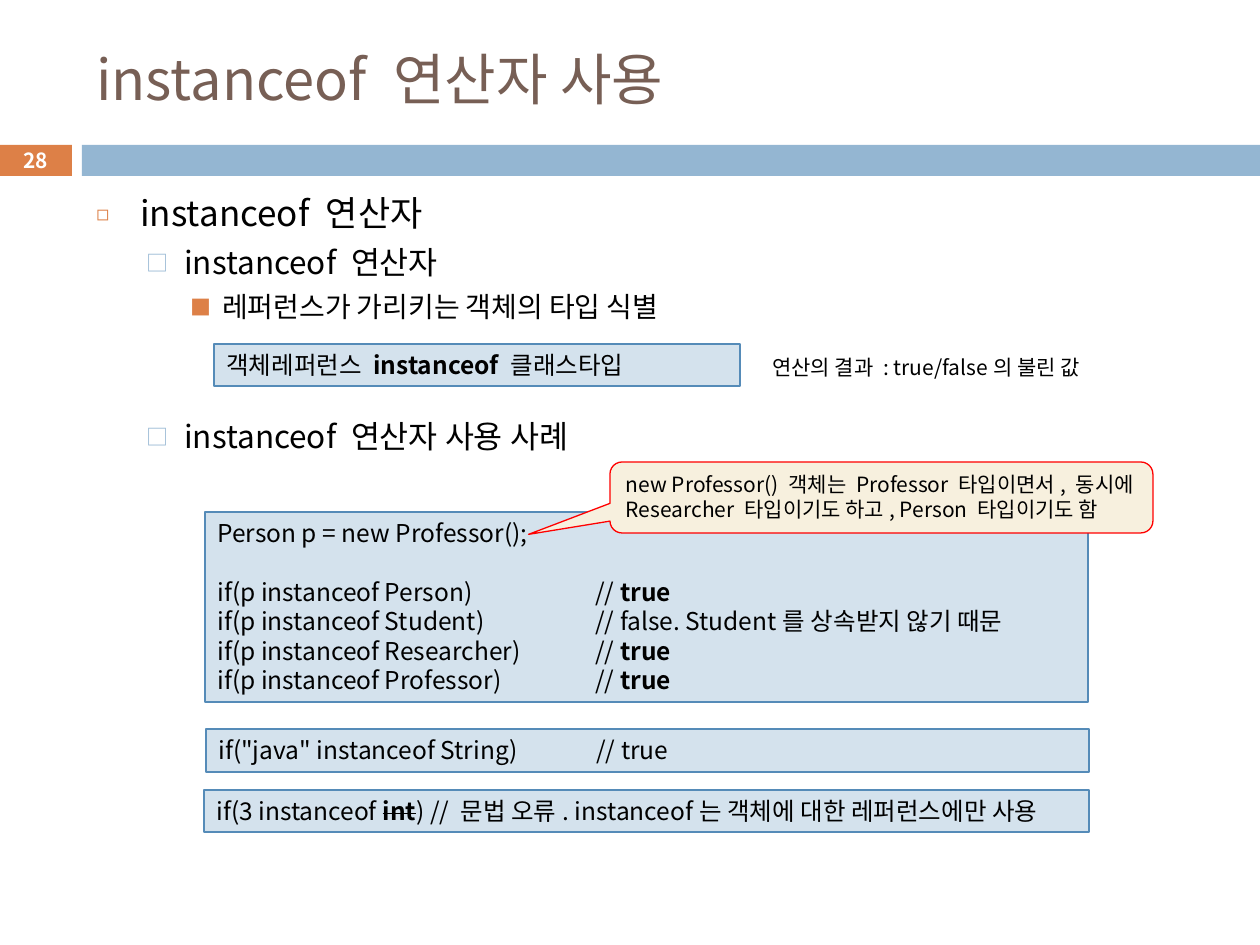
from lxml.etree import SubElement
from pptx import Presentation
from pptx.dml.color import RGBColor
from pptx.enum.shapes import MSO_SHAPE as Shape
from pptx.enum.text import MSO_ANCHOR as Anchor, PP_ALIGN as Align
from pptx.oxml.ns import qn
from pptx.util import Emu, Pt

PX = 914400 // 126
FONT = "Noto Sans CJK KR"
BLACK, WHITE, BROWN = "000000", "FFFFFF", "775F55"
ORANGE, BLUE = "DD8047", "94B6D2"
CODE_FILL, CODE_LINE = "D4E2ED", "558BB8"
NOTE_FILL, NOTE_LINE = "F7F0DE", "FF0000"


def px(n):
    return Emu(n * PX)


def color(value):
    return RGBColor.from_string(value)


class Deck:
    LEADING = 1.2

    def __init__(self):
        self.prs = Presentation()
        self.prs.slide_width, self.prs.slide_height = px(1260), px(945)
        self.slide = self.prs.slides.add_slide(self.prs.slide_layouts[6])

    def paragraph(self, frame, parts, size, ink=BLACK, before=0, leading=True):
        """Parts are plain strings or (string, font attribute) pairs."""
        first = frame.paragraphs[0]
        para = frame.add_paragraph() if first.runs else first
        para.alignment = Align.LEFT
        para.space_before = Pt(before)
        if leading:
            para.line_spacing = Pt(round(size * self.LEADING, 1))
        for part in [parts] if isinstance(parts, str) else parts:
            words, mark = part if isinstance(part, tuple) else (part, "")
            run = para.add_run()
            run.text = words
            run.font.size, run.font.name = Pt(size), FONT
            run.font.color.rgb = color(ink)
            run.font.bold = bool(mark)
            props = run.font._element
            SubElement(props, qn("a:ea")).set("typeface", FONT)
            if mark == "strike":
                props.set("strike", "sngStrike")
        return para

    def text(self, box, wrap=True, anchor=Anchor.TOP):
        frame = self.slide.shapes.add_textbox(*map(px, box)).text_frame
        frame.word_wrap, frame.vertical_anchor = wrap, anchor
        return frame

    def shape(self, box, fill, line=None, kind=Shape.RECTANGLE):
        shape = self.slide.shapes.add_shape(kind, *map(px, box))
        shape.shadow.inherit = False
        shape.fill.solid()
        shape.fill.fore_color.rgb = color(fill)
        if line:
            shape.line.color.rgb = color(line)
            shape.line.width = Pt(0.75)
        else:
            shape.line.fill.background()
        shape.text_frame.vertical_anchor = Anchor.TOP
        return shape

    def code(self, box, lines):
        """Each line is (parts, space before)."""
        frame = self.shape(box, CODE_FILL, CODE_LINE).text_frame
        for parts, before in lines:
            para = self.paragraph(frame, parts, 14, before=before)
            tabs = SubElement(para._p.get_or_add_pPr(), qn("a:tabLst"))
            SubElement(tabs, qn("a:tab"), pos=str(px(378)), algn="l")

    def bullet(self, frame, words, level, before):
        size, left, hang, sign, ink, percent = OUTLINE_LEVELS[level]
        para = self.paragraph(frame, words, size, before=before)
        para.level = level
        props = para._p.get_or_add_pPr()
        props.set("marL", str(px(left)))
        props.set("indent", str(-px(hang)))
        tint = SubElement(props, qn("a:buClr"))
        SubElement(tint, qn("a:srgbClr"), val=ink)
        SubElement(props, qn("a:buSzPct"), val=str(percent * 1000))
        SubElement(props, qn("a:buFont"), typeface=FONT)
        SubElement(props, qn("a:buChar"), char=sign)


# size, left margin, hanging indent, sign, sign colour, sign percent
OUTLINE_LEVELS = [
    (20, 44, 44, "◻", ORANGE, 60),
    (18, 88, 38, "□", BLUE, 70),
    (16, 126, 32, "■", ORANGE, 75),
]

deck = Deck()

# Header: bars, title and page number
deck.shape((-1, 145, 73, 31), ORANGE)
deck.shape((82, 145, 1178, 31), BLUE)
title = deck.text((84, 32, 1124, 93), anchor=Anchor.MIDDLE)
deck.paragraph(title, "instanceof 연산자 사용", 32, BROWN, leading=False)
page = deck.text((-1, 143, 73, 34), anchor=Anchor.MIDDLE)
number = deck.paragraph(page, [("28", "bold")], 11.9, WHITE)
number.alignment = Align.CENTER

# Outline; the last point leaves room for the syntax box
outline = deck.text((84, 185, 1124, 694))
for words, level, before in [
    ("instanceof 연산자", 0, 0),
    ("instanceof 연산자", 1, 5.5),
    ("레퍼런스가 가리키는 객체의 타입 식별", 2, 5),
    ("instanceof 연산자 사용 사례", 1, 54),
]:
    deck.bullet(outline, words, level, before)

# Syntax and its result
deck.code((214, 344, 526, 42),
          [(["객체레퍼런스 ", ("instanceof ", "bold"), "클래스타입"], 0)])
result = deck.text((760, 348, 349, 38), wrap=False)
deck.paragraph(result, "연산의 결과 : true/false의 불린 값", 12)

# Code examples
true = ("true", "bold")
deck.code((205, 512, 883, 190), [
    ("Person p = new Professor();", 0),
    (["if(p instanceof Person) \t// ", true], 16.8),
    ("if(p instanceof Student) \t// false. Student를 상속받지 않기 때문", 0),
    (["if(p instanceof Researcher) \t// ", true], 0),
    (["if(p instanceof Professor) \t// ", true], 0),
])
deck.code((206, 729, 883, 43), [('if("java" instanceof String) \t// true', 0)])
deck.code((204, 790, 885, 42), [
    (["if(3 instanceof ", ("int", "strike"),
      ") // 문법 오류. instanceof는 객체에 대한 레퍼런스에만 사용"], 0)])

# Callout on the first line of code
callout = deck.shape((610, 462, 543, 71), NOTE_FILL, NOTE_LINE,
                     Shape.ROUNDED_RECTANGULAR_CALLOUT)
for i, value in enumerate((-0.65, 0.52, 0.17)):
    callout.adjustments[i] = value
callout.text_frame.word_wrap = False
for words in ("new Professor() 객체는 Professor 타입이면서, 동시에 ",
              "Researcher 타입이기도 하고, Person 타입이기도 함"):
    deck.paragraph(callout.text_frame, words, 12)

deck.prs.save("out.pptx")
